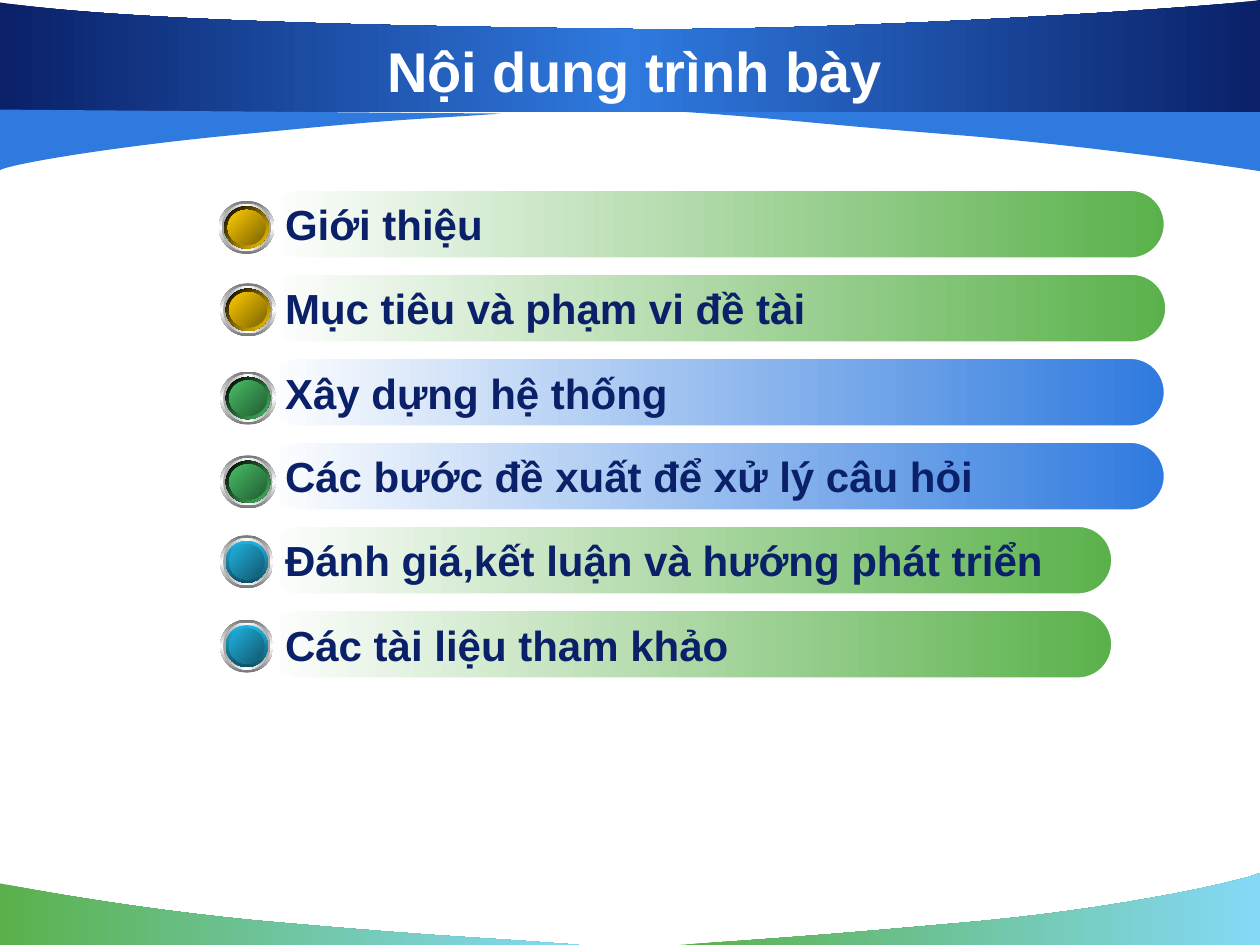
from lxml import etree
from pptx import Presentation
from pptx.dml.color import RGBColor
from pptx.enum.shapes import MSO_SHAPE
from pptx.enum.text import MSO_ANCHOR, PP_ALIGN
from pptx.oxml.ns import qn
from pptx.util import Cm, Pt

OVAL = MSO_SHAPE.OVAL
ROUNDED = MSO_SHAPE.ROUNDED_RECTANGLE
MIDDLE = MSO_ANCHOR.MIDDLE
CENTER = PP_ALIGN.CENTER
LEFT = PP_ALIGN.LEFT

NAVY, BLUE, GREEN, SKY, WHITE = "0A2068", "2F7ADF", "5AB14B", "85D9F7", "FFFFFF"


def paint(shape, colors, angle=0):
    """Fill with one colour or an evenly spaced gradient, angle clockwise; no shadow or line."""
    shape.shadow.inherit = False
    shape.line.fill.background()
    if len(colors) == 1:
        shape.fill.solid()
        shape.fill.fore_color.rgb = RGBColor.from_string(colors[0])
        return
    shape.fill.gradient()
    shape.fill.gradient_angle = -angle % 360
    stops = shape.element.spPr.find(qn("a:gradFill")).find(qn("a:gsLst"))
    for stop in list(stops):
        stops.remove(stop)
    for index, color in enumerate(colors):
        position = str(100000 * index // (len(colors) - 1))
        stop = etree.SubElement(stops, qn("a:gs"), pos=position)
        etree.SubElement(stop, qn("a:srgbClr"), val=color)


def write(shape, text, size, color, alignment):
    shape.text_frame.text = text
    shape.text_frame.vertical_anchor = MIDDLE
    paragraph = shape.text_frame.paragraphs[0]
    paragraph.alignment = alignment
    font = paragraph.runs[0].font
    font.name, font.size, font.bold = "Arial", Pt(size), True
    font.color.rgb = RGBColor.from_string(color)


presentation = Presentation()
presentation.slide_width = Cm(25.4)
presentation.slide_height = Cm(19.05)
slide = presentation.slides.add_slide(presentation.slide_layouts[6])

# Waves: a start point, two cubic curves of three points each, then straight corners (cm)
waves = [
    ([GREEN, SKY], [(11.68, 19.05), (9.75, 18.9), (9.09, 18.9), (5.89, 18.62),
                    (2.69, 18.36), (0.03, 17.81), (0, 17.81), (0, 19.05)]),
    ([GREEN, SKY], [(13.69, 19.05), (15.6, 18.92), (16.41, 18.87), (19.53, 18.59),
                    (22.66, 18.31), (25.15, 17.73), (25.4, 17.6), (25.4, 19.05)]),
    ([BLUE], [(13.82, 2.26), (15.75, 2.39), (16.31, 2.49), (19.51, 2.74),
              (22.71, 3.02), (25.37, 3.45), (25.4, 3.45), (25.4, 2.24)]),
    ([NAVY, BLUE, NAVY], [(25.4, 0), (24.49, 0.15), (16.59, 0.66), (12.37, 0.58),
                          (8.15, 0.53), (2.57, 0.43), (0, 0.05), (0, 2.26), (25.4, 2.26)]),
    ([BLUE], [(10.11, 2.29), (8.41, 2.41), (8.08, 2.39), (5.28, 2.67),
              (2.46, 2.92), (0.23, 3.3), (0, 3.43), (0, 2.21)]),
]
for colors, points in waves:
    start, *others = [(Cm(x), Cm(y)) for x, y in points]
    builder = slide.shapes.build_freeform(*start)
    builder.add_line_segments(others, close=True)
    wave = builder.convert_to_shape()
    # Turn the first six line segments into two cubic curves
    lines = list(wave.element.iter(qn("a:lnTo")))
    for first in (0, 3):
        curve = etree.Element(qn("a:cubicBezTo"))
        lines[first].addprevious(curve)
        for line in lines[first:first + 3]:
            curve.append(line[0])
            line.getparent().remove(line)
    paint(wave, colors)

title = slide.shapes.add_textbox(Cm(1.27), Cm(0.62), Cm(23.06), Cm(1.57))
title.text_frame.word_wrap = True
write(title, "Nội dung trình bày", 32, WHITE, CENTER)

# Button colours: (inner ring, ring angle), face
yellow = (["000000", "FFCC00"], 45), ["FFCC00", "7C6300"]
green = (["000000", "48BE67"], 45), ["48BE67", "235C32"]
cyan = (["21B3E1", "0F5368"], 90), ["21B3E1", "10576D"]

# Text, bar colour, bar width, button colours, button left, top and width
items = [
    ("Giới thiệu", GREEN, 18.21, yellow, 4.41, 4.05, 1.12),
    ("Mục tiêu và phạm vi đề tài", GREEN, 18.24, yellow, 4.44, 5.71, 1.12),
    ("Xây dựng hệ thống", BLUE, 18.21, green, 4.44, 7.49, 1.12),
    ("Các bước đề xuất để xử lý câu hỏi", BLUE, 18.21, green, 4.44, 9.18, 1.12),
    ("Đánh giá,kết luận và hướng phát triển", GREEN, 17.15, cyan, 4.44, 10.79, 1.07),
    ("Các tài liệu tham khảo", GREEN, 17.15, cyan, 4.44, 12.49, 1.07),
]
BAR_TOP, BAR_PITCH, BUTTON_HEIGHT = 3.81, 25.4 / 15, 1.07

for row, (text, color, bar_width, (ring, face), left, top, width) in enumerate(items):
    bar = slide.shapes.add_shape(
        ROUNDED, Cm(5.29), Cm(BAR_TOP + row * BAR_PITCH), Cm(bar_width), Cm(1.42))
    bar.adjustments[0] = 0.5
    paint(bar, [WHITE, color])
    bar.line.color.rgb = RGBColor.from_string(WHITE)
    bar.line.width = Pt(2.25)
    bar.text_frame.word_wrap = False
    write(bar, text, 24, NAVY, LEFT)

    button = slide.shapes.add_group_shape()
    layers = [
        (0, ["767676", WHITE, "767676"], 90),
        (0.06, ["A2A2A2", WHITE, "A2A2A2"], 0),
        (0.11, *ring),
        (0.18, face, 45),
    ]
    for inset, colors, angle in layers:
        disc = button.shapes.add_shape(
            OVAL, Cm(left + inset), Cm(top + inset),
            Cm(width - 2 * inset), Cm(BUTTON_HEIGHT - 2 * inset))
        paint(disc, colors, angle)

presentation.save("out.pptx")
